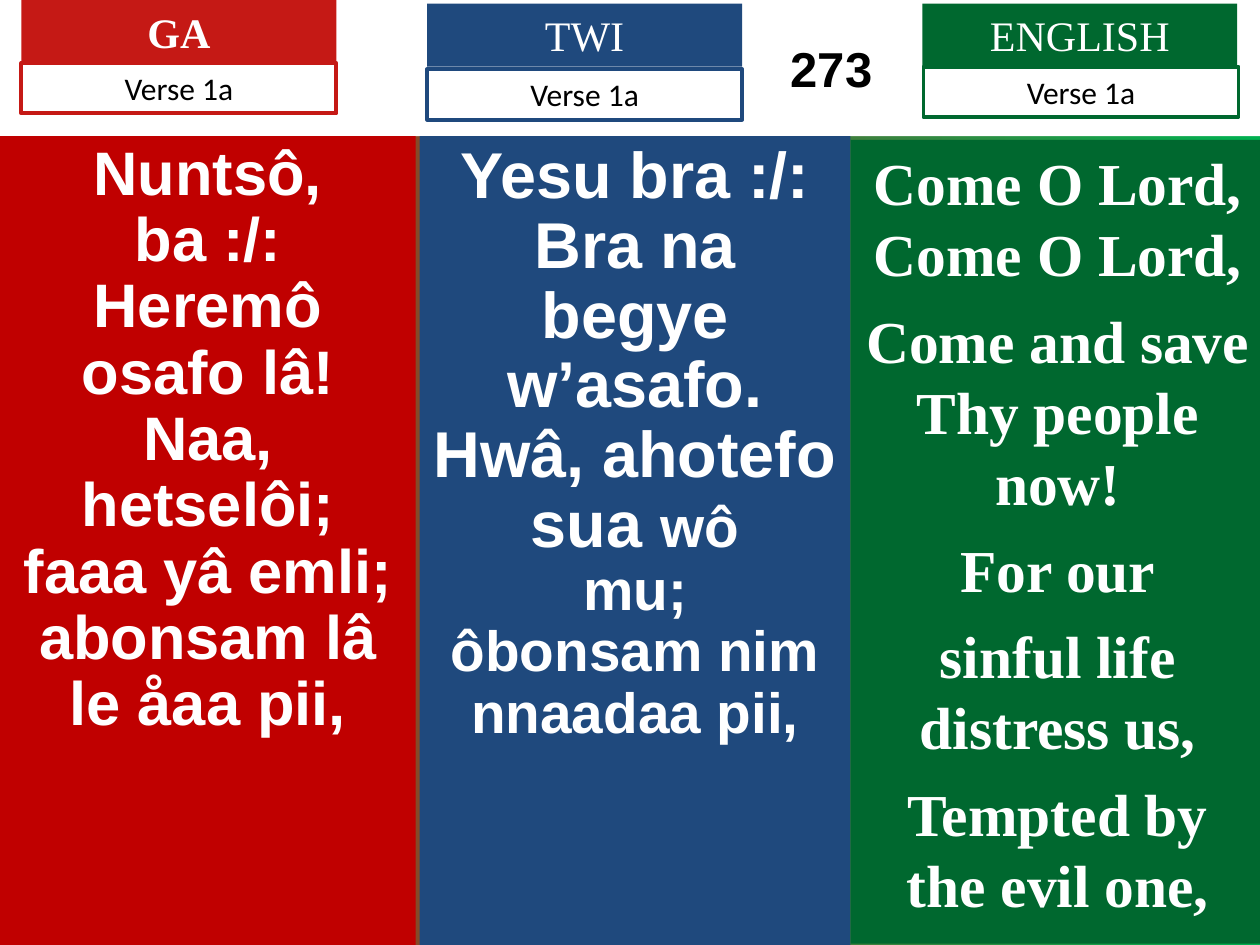
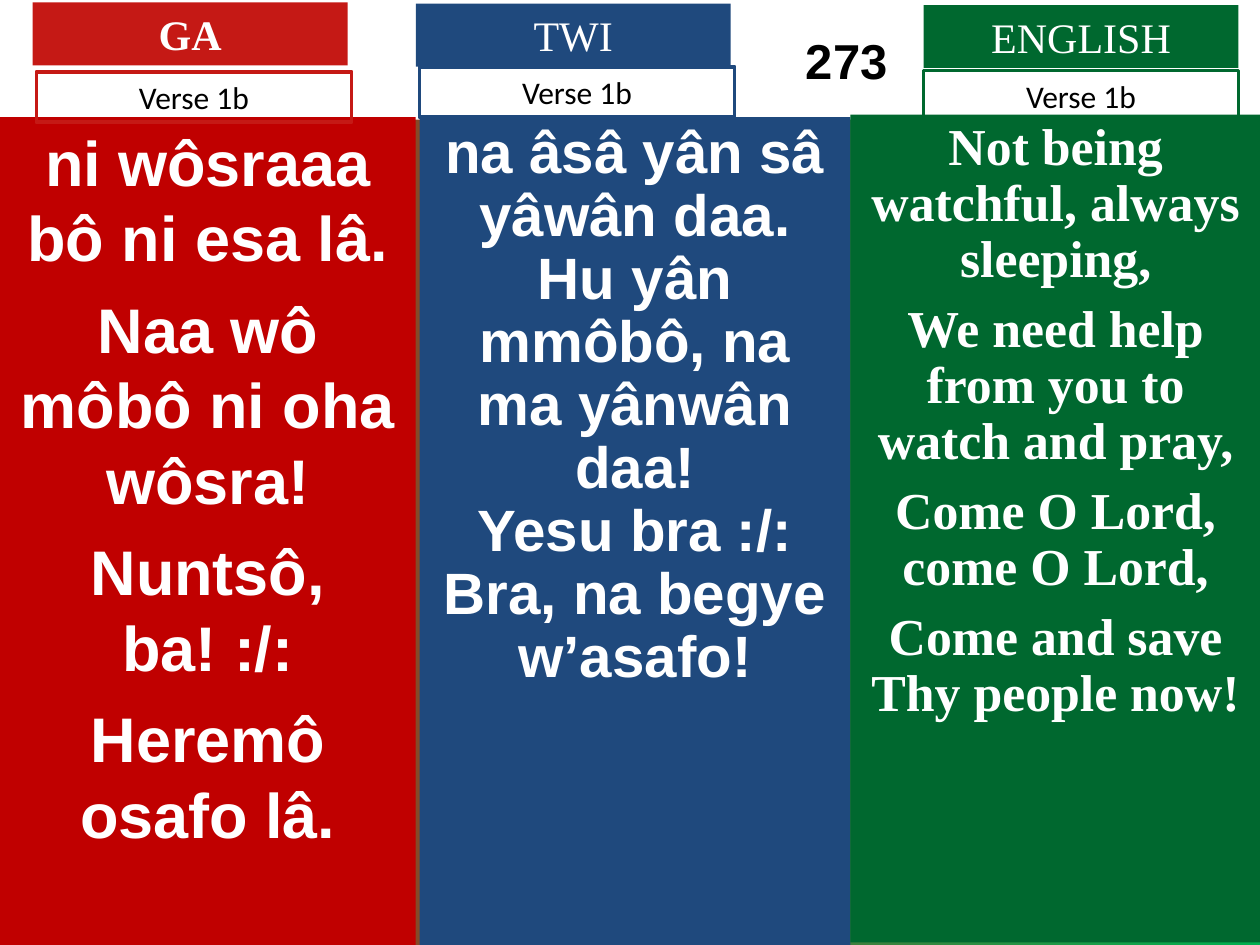
import pptx
import pptx.dml.color
import pptx.enum.shapes
import pptx.enum.text
import pptx.util

COLOURS = {
    "white": "FFFFFF", "black": "000000",
    "ga_label": "C51915", "ga_panel": "C00000",
    "twi": "1F497D", "english": "00682F", "backdrop_end": "00B050",
}
SERIF, SANS, PLAIN = "Times New Roman", "Arial", "Calibri"

deck = pptx.Presentation()
deck.slide_width = pptx.util.Inches(10)
deck.slide_height = pptx.util.Inches(7.5)

# Grid of 100 columns and 75 rows over the slide
COLUMN = deck.slide_width / 100
ROW = deck.slide_height / 75
LABEL_WIDTH, NAME_HEIGHT, VERSE_HEIGHT = 25, 5, 4
TWI_LEFT, ENGLISH_LEFT = 33.3, 67.5


def rgb(name):
    return pptx.dml.color.RGBColor.from_string(COLOURS[name])


def add_block(page, area, lines, font, size, ink, bold=False, fill=None, edge=None,
              spacing=None, gap=0):
    """Add a rectangle of centred lines; a line is a list of (text, size) spans or a string."""
    left, top, width, height = area
    box = page.shapes.add_shape(
        pptx.enum.shapes.MSO_SHAPE.RECTANGLE,
        round(left * COLUMN), round(top * ROW), round(width * COLUMN), round(height * ROW))
    box.shadow.inherit = False
    if fill:
        box.fill.solid()
        box.fill.fore_color.rgb = rgb(fill)
    else:
        box.fill.background()
    if edge:
        box.line.color.rgb = rgb(edge)
        box.line.width = pptx.util.Pt(2.25)
    else:
        box.line.fill.background()

    frame = box.text_frame
    frame.word_wrap = True
    frame.vertical_anchor = pptx.enum.text.MSO_ANCHOR.TOP
    for number, line in enumerate(lines):
        para = frame.add_paragraph() if number else frame.paragraphs[0]
        para.alignment = pptx.enum.text.PP_ALIGN.CENTER
        if spacing:
            para.line_spacing = spacing
        if number and gap:
            para.space_before = pptx.util.Pt(gap)
        for text, points in [(line, size)] if isinstance(line, str) else line:
            span = para.add_run()
            span.text = text
            span.font.name = font
            span.font.size = pptx.util.Pt(points)
            span.font.bold = bold
            span.font.color.rgb = rgb(ink)
    return box


# Each column: label name, label colour, panel colour, body font
LANGUAGES = [
    ("GA", "ga_label", "ga_panel", SANS),
    ("TWI", "twi", "twi", SANS),
    ("ENGLISH", "english", "english", SERIF),
]

# Per column: panel area, name corner, verse corner, text size, spacing, gap, lines
VERSES = [
    {
        "verse": "Verse 1a", "band": 10.8, "number_shift": 32,
        "columns": [
            ((0, 10.8, 33, 64.2), (1.7, 0), (1.7, 5), 35.1, 0.9, 0, [
                "Nuntsô, ba :/:",
                "Heremô osafo lâ!",
                "Naa, hetselôi; faaa yâ emli;",
                "abonsam lâ le åaa pii,"]),
            ((TWI_LEFT, 10.8, 34.2, 64.2), (33.9, 0.3), (33.9, 5.5), 37, 0.9, 0, [
                "Yesu bra :/:",
                "Bra na begye w’asafo.",
                [("Hwâ, ahotefo sua ", 37), ("wô", 32.4)],
                [("mu;", 32.4)],
                [("ôbonsam nim nnaadaa pii,", 32.4)]]),
            ((ENGLISH_LEFT, 11.1, 32.9, 63.8), (73.2, 0.3), (73.3, 5.3), 34, None, 8.5, [
                "Come O Lord, Come O Lord,",
                "Come and save Thy people now!",
                "For our",
                "sinful life distress us,",
                "Tempted by the evil one,"]),
        ],
    },
    {
        "verse": "Verse 1b", "band": 9.5, "number_shift": 34.4,
        "columns": [
            ((0, 9.3, 33, 65.7), (2.6, 0.2), (2.9, 5.7), 36, None, 9, [
                "ni wôsraaa bô ni esa lâ.",
                "Naa wô môbô ni oha wôsra!",
                "Nuntsô, ba! :/:",
                "Heremô osafo lâ."]),
            ((TWI_LEFT, 9.3, 34.2, 65.7), (33, 0.3), (33.3, 5.3), 33.3, 0.9, 0, [
                "na âsâ yân sâ yâwân daa.",
                "Hu yân mmôbô, na ma yânwân daa!",
                "Yesu bra :/:",
                "Bra, na begye w’asafo!"]),
            ((ENGLISH_LEFT, 9.1, 32.6, 65.7), (73.3, 0.4), (73.3, 5.6), 29.6, 0.9, 8, [
                "Not being watchful, always sleeping,",
                "We need help from you to watch and pray,",
                "Come O Lord, come O Lord,",
                "Come and save Thy people now!"]),
        ],
    },
]

for verse in VERSES:
    page = deck.slides.add_slide(deck.slide_layouts[6])

    # Red to green backdrop
    backdrop = page.background.fill
    backdrop.gradient()
    backdrop.gradient_angle = 0
    for stop, name in zip(backdrop.gradient_stops, ("ga_label", "backdrop_end")):
        stop.color.rgb = rgb(name)

    # White band with the hymn number, moved right by its left inset
    band = add_block(page, (0, 0, 100, verse["band"]), ["273"], SANS, 28, "black",
                     bold=True, fill="white")
    band.text_frame.vertical_anchor = pptx.enum.text.MSO_ANCHOR.MIDDLE
    band.text_frame.margin_left = round(verse["number_shift"] * COLUMN)
    band.text_frame.margin_right = 0

    # Language columns: panel, name, verse label
    for language, column in zip(LANGUAGES, verse["columns"]):
        name, label_colour, panel_colour, font = language
        panel, name_corner, verse_corner, size, spacing, gap, lines = column
        add_block(page, panel, lines, font, size, "white", bold=True,
                  fill=panel_colour, spacing=spacing, gap=gap)
        add_block(page, (*name_corner, LABEL_WIDTH, NAME_HEIGHT), [name], SERIF, 24,
                  "white", bold=name == "GA", fill=label_colour)
        add_block(page, (*verse_corner, LABEL_WIDTH, VERSE_HEIGHT), [verse["verse"]],
                  PLAIN, 18, "black", edge=label_colour)

deck.save("out.pptx")
